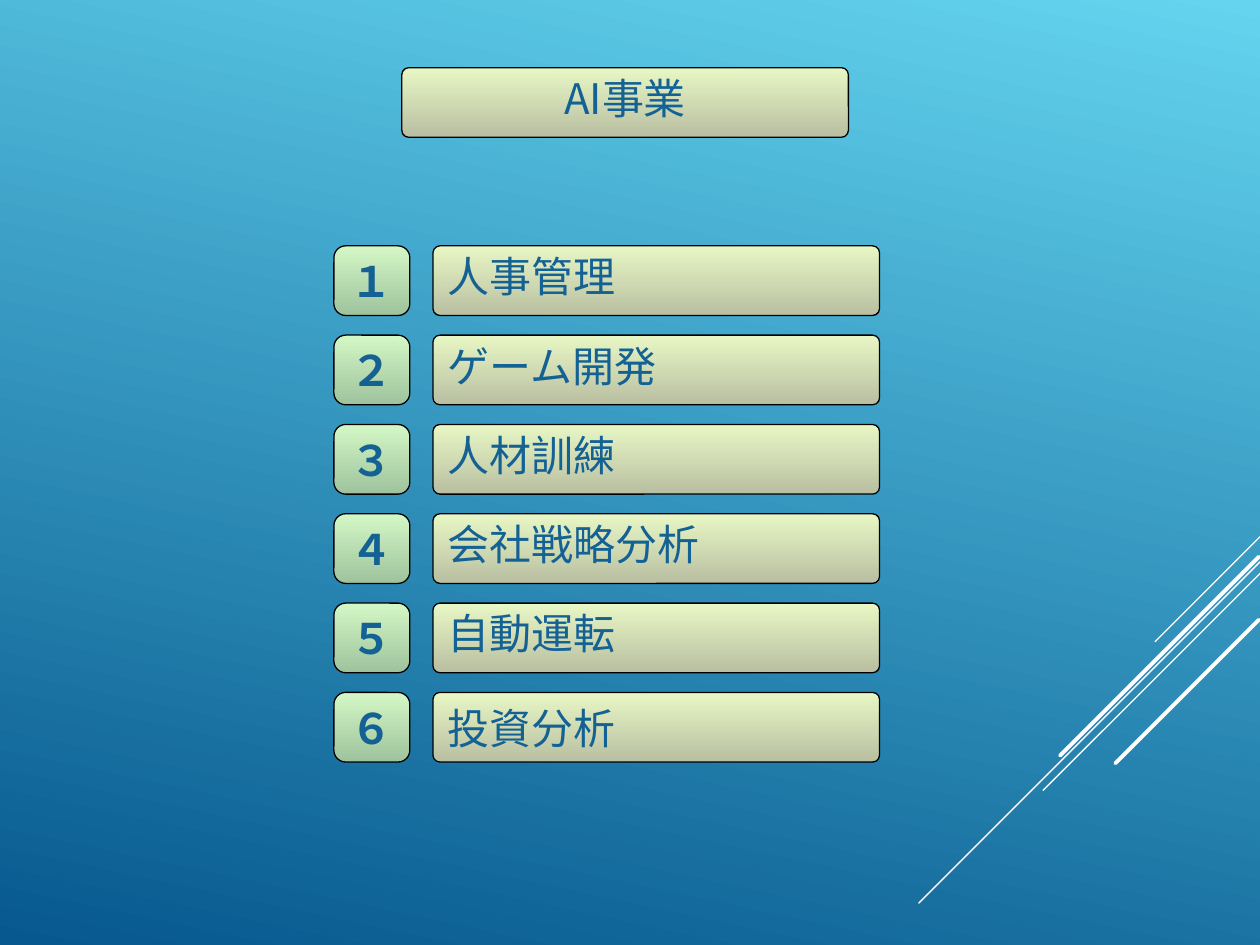
from dataclasses import dataclass

from lxml.etree import SubElement
from pptx import Presentation
from pptx.dml.color import RGBColor
from pptx.enum.shapes import MSO_CONNECTOR, MSO_SHAPE
from pptx.enum.text import MSO_ANCHOR, PP_ALIGN
from pptx.oxml.ns import qn
from pptx.util import Pt


@dataclass(frozen=True)
class Theme:
    background: tuple = ("64D4EF", "06588E")
    bar: tuple = ("E8F7C5", "B9BFA1")
    badge: tuple = ("D3F7C5", "9FC39D")
    outline: str = "000000"
    text: str = "146194"
    streak: str = "FFFFFF"
    font: str = "Noto Sans CJK JP"
    size: float = 24
    hairline: float = 0.75
    thick: float = 2.25


THEME = Theme()
BUSINESSES = ["人事管理", "ゲーム開発", "人材訓練", "会社戦略分析", "自動運転", "投資分析"]
NUMERALS = "１２３４５６"
STREAKS = [
    (0, 0, 60, THEME.hairline),
    (0, 14.4, 195, THEME.hairline),
    (0, 21, 124, THEME.hairline),
    (0.7, 11.5, 113.6, THEME.thick),
    (0.7, 47.5, 82, THEME.thick),
]


def set_gradient(fill, colors, clockwise_angle):
    fill.gradient()
    fill.gradient_angle = 360 - clockwise_angle
    for stop, color in zip(fill.gradient_stops, colors):
        stop.color.rgb = RGBColor.from_string(color)


def add_panel(slide, box, text, colors, corner, align, bold=False, spacing=None):
    panel = slide.shapes.add_shape(MSO_SHAPE.ROUNDED_RECTANGLE, *map(Pt, box))
    panel.shadow.inherit = False
    panel.adjustments[0] = corner
    set_gradient(panel.fill, colors, 90)
    panel.line.color.rgb = RGBColor.from_string(THEME.outline)
    panel.line.width = Pt(THEME.hairline)

    frame = panel.text_frame
    frame.word_wrap = False
    frame.vertical_anchor = MSO_ANCHOR.MIDDLE
    paragraph = frame.paragraphs[0]
    paragraph.text = text
    paragraph.alignment = align
    paragraph.line_spacing = spacing
    font = paragraph.font
    font.name = THEME.font
    font.size = Pt(THEME.size)
    font.bold = bold
    font.color.rgb = RGBColor.from_string(THEME.text)
    defaults = paragraph._p.pPr.find(qn("a:defRPr"))
    SubElement(defaults, qn("a:ea"), typeface=THEME.font)


def add_streaks(slide, box):
    left, top, width, height = box
    for inset, drop, run, weight in STREAKS:
        x, y = left + width - inset, top + drop
        streak = slide.shapes.add_connector(
            MSO_CONNECTOR.STRAIGHT, Pt(x), Pt(y), Pt(x - run), Pt(y + run)
        )
        streak.line.color.rgb = RGBColor.from_string(THEME.streak)
        streak.line.width = Pt(weight)
        streak.line._ln.set("cap", "rnd")
        SubElement(streak._element.spPr, qn("a:effectLst"))


def add_title(slide, box):
    add_panel(slide, box, "AI事業", THEME.bar, 0.1, PP_ALIGN.CENTER, spacing=0.8)


def add_business_list(slide, box):
    left, top, width, height = box
    row_height, badge_width, gap = 39.8, 43.4, 13.2
    pitch = (height - row_height) / (len(BUSINESSES) - 1)
    bar_left = left + badge_width + gap
    bar_width = width - badge_width - gap
    for row, (numeral, business) in enumerate(zip(NUMERALS, BUSINESSES)):
        y = top + row * pitch
        is_last = row == len(BUSINESSES) - 1
        add_panel(slide, (left, y, badge_width, row_height), numeral,
                  THEME.badge, 0.17, PP_ALIGN.CENTER, bold=True)
        add_panel(slide, (bar_left, y, bar_width, row_height), business,
                  THEME.bar, 0.1, PP_ALIGN.LEFT, spacing=None if is_last else 0.8)


def main():
    presentation = Presentation()
    presentation.slide_width, presentation.slide_height = Pt(720), Pt(540)
    slide = presentation.slides.add_slide(presentation.slide_layouts[6])
    set_gradient(slide.background.fill, THEME.background, 102)
    add_streaks(slide, (525, 306.7, 195, 209.4))
    add_title(slide, (229.6, 38.7, 255.2, 39.8))
    add_business_list(slide, (190.8, 140.5, 311.8, 295))
    presentation.save("out.pptx")


if __name__ == "__main__":
    main()
